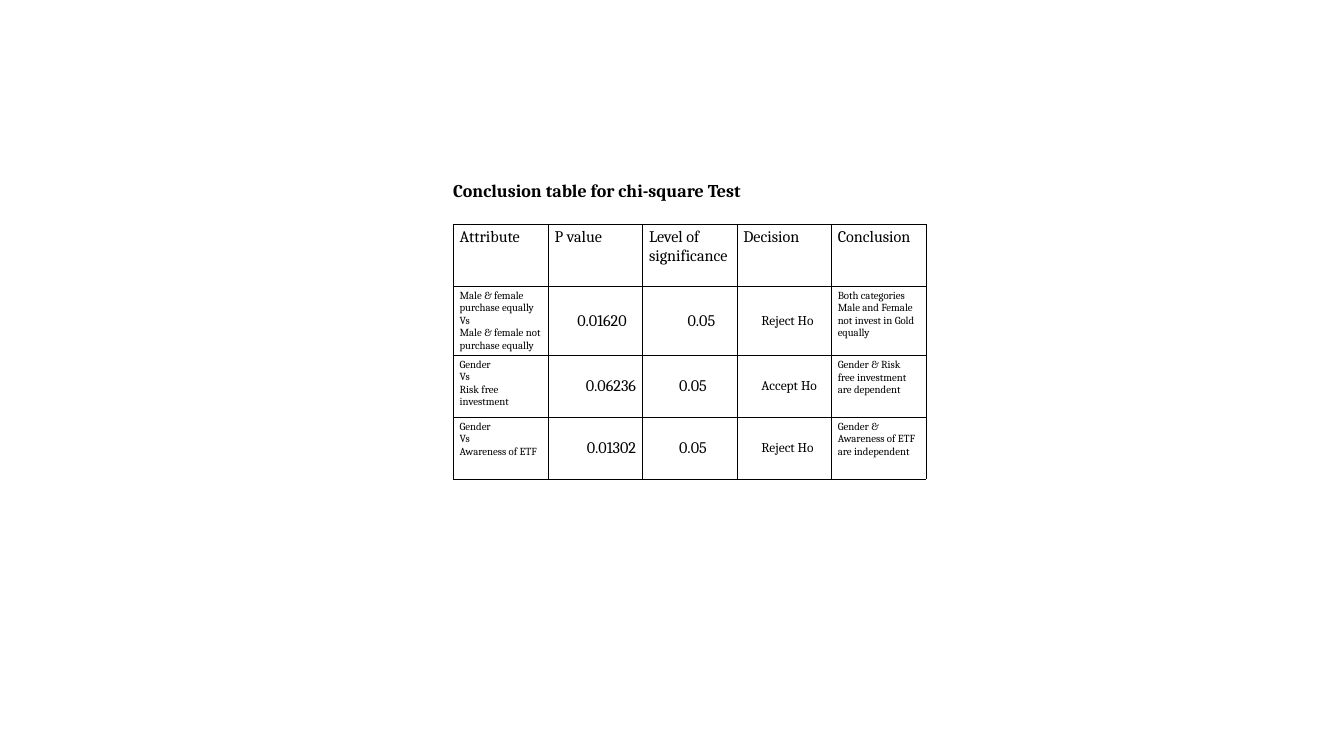
import dataclasses

import lxml.etree
import pptx
import pptx.dml.color
import pptx.enum.text
import pptx.oxml.ns
import pptx.util

PX = 9144
ALIGN = pptx.enum.text.PP_ALIGN
ANCHOR = pptx.enum.text.MSO_ANCHOR


@dataclasses.dataclass(frozen=True)
class Theme:
    font: str = "Cambria"
    ink: pptx.dml.color.RGBColor = pptx.dml.color.RGBColor(0, 0, 0)
    paper: pptx.dml.color.RGBColor = pptx.dml.color.RGBColor(255, 255, 255)
    title: int = 20
    large: int = 18
    decision: int = 15
    small: int = 12
    border: float = 0.45


@dataclasses.dataclass(frozen=True)
class CellStyle:
    size: int
    anchor: ANCHOR = ANCHOR.TOP
    align: ALIGN = ALIGN.LEFT
    indent: int = 0
    leading: float = 0


THEME = Theme()
COLUMNS = [147, 146, 146, 146, 147]
ROWS = [96, 98, 96, 95]
HEADER = ["Attribute", "P value", "Level of significance", "Decision", "Conclusion"]
TESTS = [
    ["Male & female purchase equally Vs\nMale & female not purchase equally", "0.01620", "0.05",
     "Reject Ho", "Both categories Male and Female not invest in Gold equally"],
    ["Gender\nVs\nRisk free investment", "0.06236", "0.05",
     "Accept Ho", "Gender & Risk free investment are dependent"],
    ["Gender\nVs\nAwareness of ETF", "0.01302", "0.05",
     "Reject Ho", "Gender & Awareness of ETF are independent"],
]
HEADER_STYLE = CellStyle(THEME.large)
NOTE_STYLE = CellStyle(THEME.small, leading=13.9)
TEST_STYLES = [
    NOTE_STYLE,
    CellStyle(THEME.large, ANCHOR.MIDDLE, ALIGN.RIGHT),
    CellStyle(THEME.large, ANCHOR.MIDDLE, ALIGN.CENTER, 10),
    CellStyle(THEME.decision, ANCHOR.MIDDLE, indent=28),
    NOTE_STYLE,
]
SPECIAL_STYLES = {
    (0, 2): dataclasses.replace(HEADER_STYLE, leading=20.9),
    (1, 0): dataclasses.replace(NOTE_STYLE, anchor=ANCHOR.BOTTOM),
    (1, 1): CellStyle(THEME.large, ANCHOR.MIDDLE, indent=35),
    (1, 2): dataclasses.replace(TEST_STYLES[2], indent=36),
    (2, 4): dataclasses.replace(NOTE_STYLE, leading=14.1),
}


def box_emu(box):
    return [v * PX for v in box]


def format_runs(p, size, bold=False):
    for r in p.runs:
        r.font.name = THEME.font
        r.font.size = pptx.util.Pt(size)
        r.font.bold = bold
        r.font.color.rgb = THEME.ink


def add_borders(cell):
    tc_pr = cell._tc.get_or_add_tcPr()
    qn = pptx.oxml.ns.qn
    for side in ("lnL", "lnR", "lnT", "lnB"):
        ln = lxml.etree.SubElement(tc_pr, qn(f"a:{side}"), w=str(pptx.util.Pt(THEME.border)))
        fill = lxml.etree.SubElement(ln, qn("a:solidFill"))
        lxml.etree.SubElement(fill, qn("a:srgbClr"), val=str(THEME.ink))


def fill_cell(cell, text, style):
    add_borders(cell)
    cell.fill.background()
    cell.vertical_anchor = style.anchor
    cell.text_frame.text = text
    for p in cell.text_frame.paragraphs:
        p.alignment = style.align
        if style.indent:
            p._p.get_or_add_pPr().set("marL", str(style.indent * PX))
        if style.leading:
            p.line_spacing = pptx.util.Pt(style.leading)
        format_runs(p, style.size)


def place_title(s, box):
    sp = s.shapes.title
    sp.left, sp.top, sp.width, sp.height = box_emu(box)
    tf = sp.text_frame
    tf.margin_left = tf.margin_top = tf.margin_right = tf.margin_bottom = 0
    tf.word_wrap = False
    tf.auto_size = pptx.enum.text.MSO_AUTO_SIZE.NONE
    tf.vertical_anchor = ANCHOR.TOP
    tf.text = "Conclusion table for chi-square Test"
    p = tf.paragraphs[0]
    p.alignment = ALIGN.LEFT
    p.line_spacing = 1.0
    p.space_before = pptx.util.Pt(0)
    format_runs(p, THEME.title, bold=True)


def place_table(s, box):
    table = s.shapes.add_table(len(ROWS), len(COLUMNS), *box_emu(box)).table
    table.first_row = False
    table.horz_banding = False
    for column, width in zip(table.columns, COLUMNS):
        column.width = width * PX
    for row, height in zip(table.rows, ROWS):
        row.height = height * PX
    for i, texts in enumerate([HEADER] + TESTS):
        for j, text in enumerate(texts):
            style = TEST_STYLES[j] if i else HEADER_STYLE
            fill_cell(table.cell(i, j), text, SPECIAL_STYLES.get((i, j), style))


def conclusion_slide(prs, box):
    s = prs.slides.add_slide(prs.slide_layouts[5])
    s.background.fill.solid()
    s.background.fill.fore_color.rgb = THEME.paper
    left, top, width, height = box
    place_title(s, (left, top, 494, 32))
    place_table(s, (left, top + 70, width, height - 70))


def main():
    prs = pptx.Presentation()
    prs.slide_width, prs.slide_height = 2079 * PX, 1169 * PX
    conclusion_slide(prs, (701, 277, sum(COLUMNS), 70 + sum(ROWS)))
    prs.save("out.pptx")


if __name__ == "__main__":
    main()
